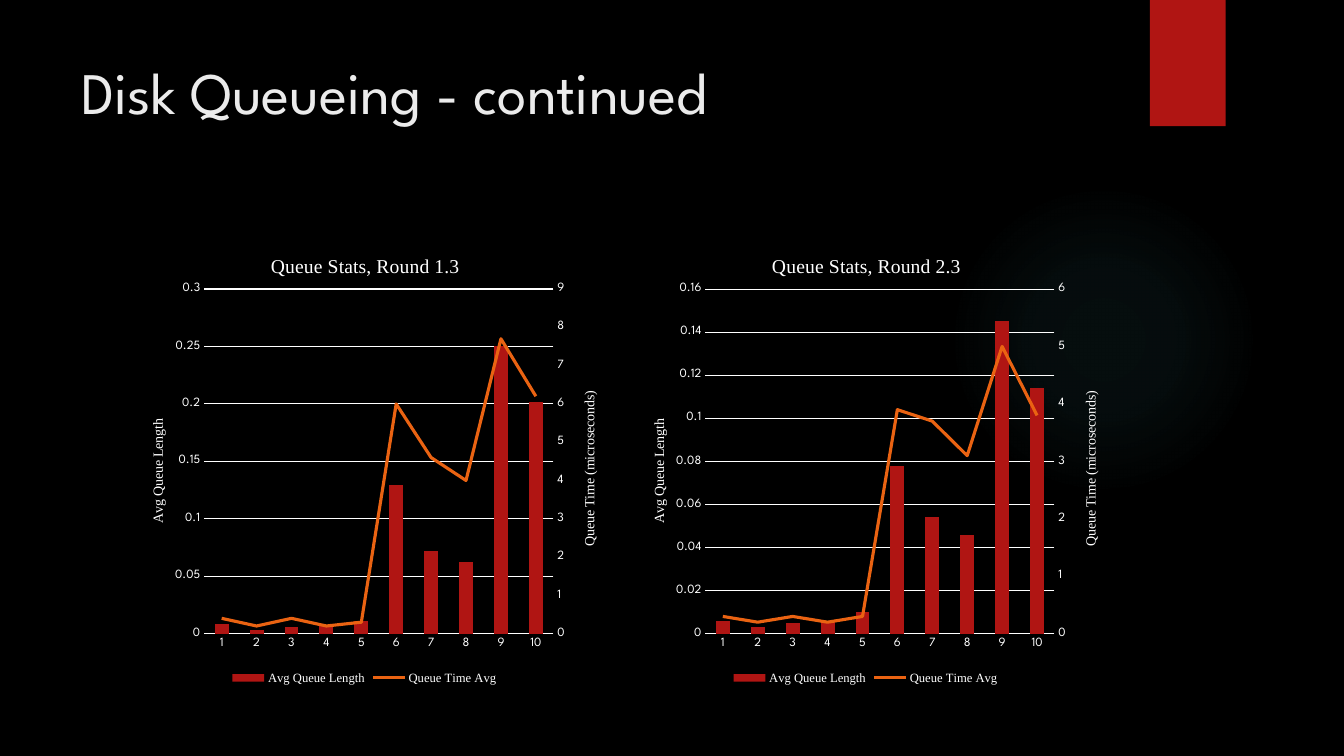
from copy import deepcopy
from dataclasses import dataclass

from pptx import Presentation
from pptx.chart.chart import Chart
from pptx.chart.data import CategoryChartData
from pptx.dml.color import RGBColor
from pptx.enum.chart import XL_CHART_TYPE, XL_LEGEND_POSITION, XL_MARKER_STYLE, XL_TICK_MARK
from pptx.enum.shapes import MSO_SHAPE
from pptx.oxml import parse_xml
from pptx.oxml.ns import nsdecls, qn
from pptx.slide import Slide
from pptx.text.text import Font, TextFrame
from pptx.util import Cm, Pt

COLORS = {"black": "000000", "white": "FFFFFF", "heading": "EBEBEB",
          "red": "B01513", "orange": "EA6312", "glow": "50B9C1"}
SANS, SERIF = "League Spartan", "Times New Roman"
RIGHT_IDS = ("50010", "50020")


@dataclass
class QueueChart:
    title: str
    left: float
    lengths: list[float]
    times: list[float]
    length_max: float
    length_step: float
    time_max: float


QUEUE_CHARTS = [
    QueueChart("Queue Stats, Round 1.3", 3.07,
               [0.008, 0.003, 0.006, 0.007, 0.011, 0.129, 0.072, 0.062, 0.25, 0.202],
               [0.4, 0.2, 0.4, 0.2, 0.3, 6, 4.6, 4, 7.7, 6.2], 0.3, 0.05, 9),
    QueueChart("Queue Stats, Round 2.3", 15.7,
               [0.006, 0.003, 0.005, 0.006, 0.01, 0.078, 0.054, 0.046, 0.145, 0.114],
               [0.3, 0.2, 0.3, 0.2, 0.3, 3.9, 3.7, 3.1, 5, 3.8], 0.16, 0.02, 6),
]


def rgb(name: str) -> RGBColor:
    return RGBColor.from_string(COLORS[name])


def style_font(font: Font, *, face: str, size: float, color: str = "white") -> None:
    font.name, font.size, font.bold = face, Pt(size), False
    font.color.rgb = rgb(color)


def write_text(frame: TextFrame, text: str, **text_format) -> None:
    run = frame.paragraphs[0].add_run()
    run.text = text
    style_font(run.font, **text_format)


def set_layout(parent, index: int, **fractions: float) -> None:
    """Place a chart part by fractions of the chart area."""
    for old in parent.findall(qn("c:layout")):
        parent.remove(old)
    target = '<c:layoutTarget val="inner"/>' if "w" in fractions else ""
    modes = '<c:xMode val="edge"/><c:yMode val="edge"/>'
    values = "".join(f'<c:{key} val="{value}"/>' for key, value in fractions.items())
    parent.insert(index, parse_xml(
        f'<c:layout {nsdecls("c")}><c:manualLayout>{target}{modes}{values}'
        "</c:manualLayout></c:layout>"))


def format_left_axes(chart: Chart, stats: QueueChart) -> None:
    categories, lengths = chart.category_axis, chart.value_axis
    for axis in (categories, lengths):
        axis.major_tick_mark = axis.minor_tick_mark = XL_TICK_MARK.NONE
        style_font(axis.tick_labels.font, face=SANS, size=9)
    lengths.minimum_scale, lengths.maximum_scale = 0, stats.length_max
    lengths.major_unit = stats.length_step
    lengths.format.line.fill.background()
    lengths.has_major_gridlines = True
    for line in (categories.format.line, lengths.major_gridlines.format.line):
        line.color.rgb, line.width = rgb("white"), Pt(0.75)
    write_text(lengths.axis_title.text_frame, "Avg Queue Length", face=SERIF, size=10)


def add_right_axis(plot_area, time_max: float) -> None:
    """Move the second series to a line plot with its own axes."""
    bars = plot_area.find(qn("c:barChart"))
    times = bars.findall(qn("c:ser"))[1]
    for invert in times.findall(qn("c:invertIfNegative")):
        times.remove(invert)
    ids = "".join(f'<c:axId val="{axis_id}"/>' for axis_id in RIGHT_IDS)
    lines = parse_xml(f'<c:lineChart {nsdecls("c")}><c:grouping val="standard"/>'
                      f'<c:varyColors val="0"/><c:marker val="1"/>{ids}</c:lineChart>')
    lines.insert(2, times)
    bars.addnext(lines)

    left_value = plot_area.find(qn("c:valAx"))
    category, value = deepcopy(plot_area.find(qn("c:catAx"))), deepcopy(left_value)
    for axis, own_id, cross_id in ((category, *RIGHT_IDS), (value, *RIGHT_IDS[::-1])):
        axis.find(qn("c:axId")).set("val", own_id)
        axis.find(qn("c:crossAx")).set("val", cross_id)
    category.find(qn("c:delete")).set("val", "1")
    value.remove(value.find(qn("c:majorGridlines")))
    for tag, setting in (("axPos", "r"), ("crosses", "max"),
                         ("max", str(time_max)), ("majorUnit", "1")):
        next(value.iter(qn(f"c:{tag}"))).set("val", setting)
    next(value.iter(qn("a:t"))).text = "Queue Time (microseconds)"
    left_value.addnext(value)
    value.addnext(category)

    for axis, x, y in ((left_value, 0.05, 0.41), (value, 0.94, 0.35)):
        title = axis.find(qn("c:title"))
        body = next(title.iter(qn("a:bodyPr")))
        body.set("rot", "-5400000")
        body.set("vert", "horz")
        set_layout(title, 1, x=x, y=y)


def add_queue_chart(slide: Slide, stats: QueueChart) -> None:
    data = CategoryChartData()
    data.categories = [str(number) for number in range(1, 11)]
    data.add_series("Avg Queue Length", stats.lengths)
    data.add_series("Queue Time Avg", stats.times)
    chart = slide.shapes.add_chart(XL_CHART_TYPE.COLUMN_CLUSTERED, Cm(stats.left), Cm(5.71),
                                   Cm(12.22), Cm(11.66), data).chart
    style_font(chart.font, face=SANS, size=10)

    # Title and legend
    write_text(chart.chart_title.text_frame, stats.title, face=SERIF, size=14)
    set_layout(chart.element.find(".//" + qn("c:title")), 1, x=0.3, y=0.05)
    chart.has_legend = True
    chart.legend.position = XL_LEGEND_POSITION.BOTTOM
    chart.legend.include_in_layout = False
    style_font(chart.legend.font, face=SERIF, size=9)

    # Axes
    plot_area = chart.element.find(".//" + qn("c:plotArea"))
    format_left_axes(chart, stats)
    add_right_axis(plot_area, stats.time_max)
    set_layout(plot_area, 0, x=0.17, y=0.135, w=0.72, h=0.745)

    # Series
    length_plot, time_plot = chart.plots
    length_plot.gap_width = 150
    length_plot.vary_by_categories = False
    fill = length_plot.series[0].format.fill
    fill.solid()
    fill.fore_color.rgb = rgb("red")
    times = time_plot.series[0]
    times.smooth = False
    times.marker.style = XL_MARKER_STYLE.NONE
    times.format.line.color.rgb = rgb("orange")
    times.format.line.width = Pt(2.25)


def add_decor(slide: Slide) -> None:
    glow = slide.shapes.add_shape(MSO_SHAPE.OVAL, Cm(23.9), Cm(4.65), Cm(7.82), Cm(7.82))
    tab = slide.shapes.add_shape(MSO_SHAPE.RECTANGLE, Cm(28.98), Cm(0), Cm(1.91), Cm(3.18))
    for shape in (glow, tab):
        shape.shadow.inherit = False
        shape.line.fill.background()
    tab.fill.solid()
    tab.fill.fore_color.rgb = rgb("red")

    # Fading radial glow
    glow.fill.background()
    stops = "".join(
        f'<a:gs pos="{place * 1000}"><a:srgbClr val="{COLORS["glow"]}">'
        f'<a:alpha val="{alpha * 1000}"/></a:srgbClr></a:gs>'
        for place, alpha in ((0, 7), (36, 6), (69, 0)))
    gradient = parse_xml(
        f'<a:gradFill {nsdecls("a")}><a:gsLst>{stops}</a:gsLst><a:path path="circle">'
        '<a:fillToRect l="50000" t="50000" r="50000" b="50000"/></a:path></a:gradFill>')
    properties = glow.element.spPr
    properties.replace(properties.find(qn("a:noFill")), gradient)


presentation = Presentation()
presentation.slide_width, presentation.slide_height = Cm(33.87), Cm(19.05)
queue_slide = presentation.slides.add_slide(presentation.slide_layouts[6])
queue_slide.background.fill.solid()
queue_slide.background.fill.fore_color.rgb = rgb("black")

add_decor(queue_slide)

# Heading
heading = queue_slide.shapes.add_textbox(Cm(1.8), Cm(1.27), Cm(26.14), Cm(3.89)).text_frame
heading.word_wrap = True
write_text(heading, "Disk Queueing - continued", face=SANS, size=42, color="heading")

# Charts
for queue_chart in QUEUE_CHARTS:
    add_queue_chart(queue_slide, queue_chart)

presentation.save("out.pptx")
